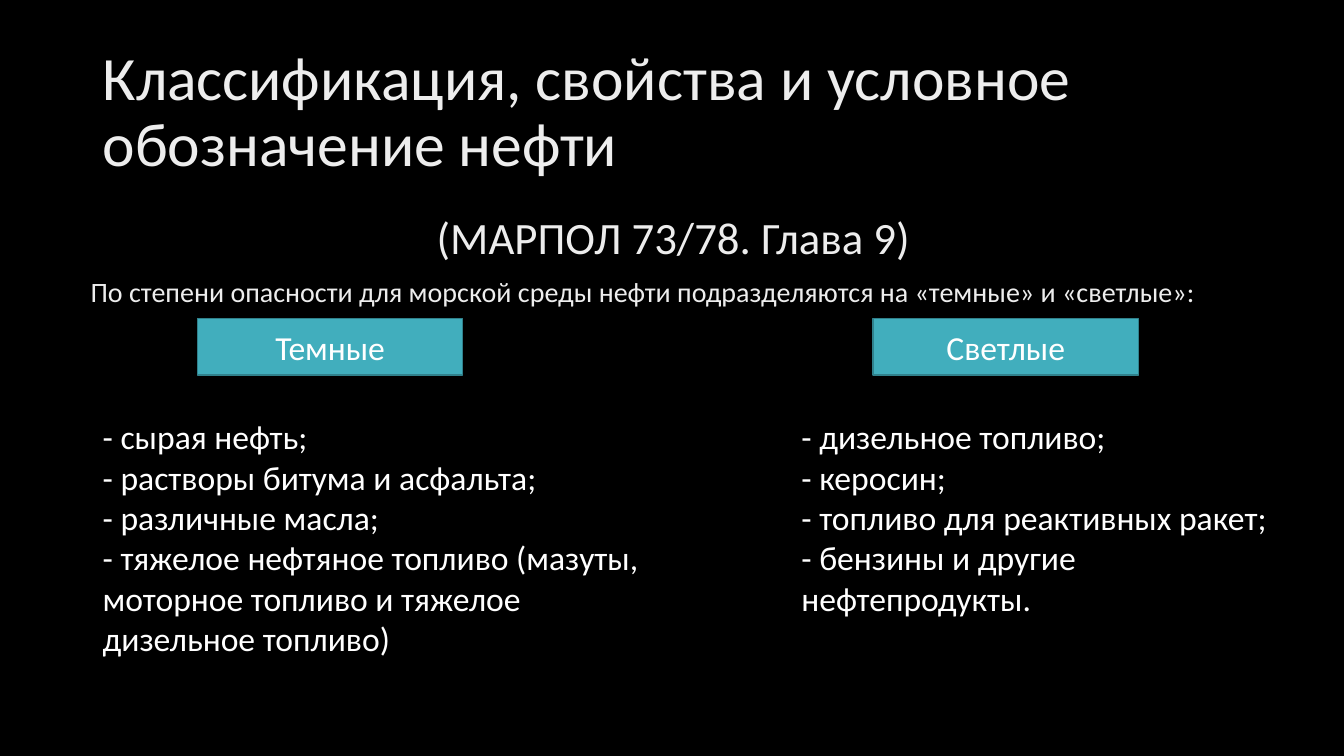
from dataclasses import dataclass

from pptx import Presentation
from pptx.dml.color import RGBColor
from pptx.enum.shapes import MSO_SHAPE
from pptx.enum.text import MSO_ANCHOR, PP_ALIGN
from pptx.slide import Slide
from pptx.text.text import TextFrame
from pptx.util import Inches, Pt

FONT = "Calibri"
BLACK, WHITE, SILVER = "000000", "FFFFFF", "EDEDED"
TEAL, DARK_TEAL = "41AEBD", "30818C"


@dataclass
class Line:
    text: str
    size: float = 24
    color: str = WHITE
    align: PP_ALIGN = PP_ALIGN.LEFT
    spacing: float = 1.0
    before: float = 0


@dataclass
class OilGroup:
    heading: str
    heading_left: float
    list_left: float
    list_width: float
    items: list[str]


def color(value: str) -> RGBColor:
    return RGBColor.from_string(value)


def write(frame: TextFrame, lines: list[Line], anchor: MSO_ANCHOR) -> None:
    frame.word_wrap = True
    frame.vertical_anchor = anchor
    for index, line in enumerate(lines):
        paragraph = frame.add_paragraph() if index else frame.paragraphs[0]
        paragraph.alignment = line.align
        paragraph.line_spacing = line.spacing
        paragraph.space_before = Pt(line.before)
        run = paragraph.add_run()
        run.text = line.text
        run.font.name = FONT
        run.font.size = Pt(line.size)
        run.font.color.rgb = color(line.color)


def add_text(slide: Slide, left: float, top: float, width: float, height: float,
             lines: list[Line], anchor: MSO_ANCHOR = MSO_ANCHOR.TOP) -> None:
    box = slide.shapes.add_textbox(Inches(left), Inches(top), Inches(width), Inches(height))
    write(box.text_frame, lines, anchor)


def add_group(slide: Slide, group: OilGroup) -> None:
    shape = slide.shapes.add_shape(MSO_SHAPE.RECTANGLE, Inches(group.heading_left),
                                   Inches(3.16), Inches(2.63), Inches(0.56))
    shape.shadow.inherit = False
    shape.fill.solid()
    shape.fill.fore_color.rgb = color(TEAL)
    shape.line.color.rgb = color(DARK_TEAL)
    shape.line.width = Pt(1)
    write(shape.text_frame, [Line(group.heading, align=PP_ALIGN.CENTER)], MSO_ANCHOR.MIDDLE)
    add_text(slide, group.list_left, 4.08, group.list_width, 2.83,
             [Line(f"- {item}") for item in group.items])


GROUPS = [
    OilGroup("Темные", 1.96, 0.92, 5.7, [
        "сырая нефть;",
        "растворы битума и асфальта;",
        "различные масла;",
        "тяжелое нефтяное топливо (мазуты, моторное топливо и тяжелое дизельное топливо)",
    ]),
    OilGroup("Светлые", 8.66, 7.85, 4.82, [
        "дизельное топливо;",
        "керосин;",
        "топливо для реактивных ракет;",
        "бензины и другие нефтепродукты.",
    ]),
]


def main() -> None:
    presentation = Presentation()
    presentation.slide_width = Inches(13.33)
    presentation.slide_height = Inches(7.5)
    slide = presentation.slides.add_slide(presentation.slide_layouts[6])
    slide.background.fill.solid()
    slide.background.fill.fore_color.rgb = color(BLACK)

    # Title
    add_text(slide, 0.92, 0.4, 11.5, 1.45,
             [Line("Классификация, свойства и условное обозначение нефти",
                   44, SILVER, spacing=0.9)], MSO_ANCHOR.MIDDLE)

    # Reference and introduction
    add_text(slide, 0.8, 2.09, 11.76, 1.05, [
        Line("(МАРПОЛ 73/78. Глава 9)", 32, SILVER, PP_ALIGN.CENTER, 0.9),
        Line("По степени опасности для морской среды нефти подразделяются "
             "на «темные» и «светлые»:", 20, SILVER, spacing=0.9, before=10),
    ])

    # Dark and light oils
    for group in GROUPS:
        add_group(slide, group)

    presentation.save("out.pptx")


if __name__ == "__main__":
    main()
